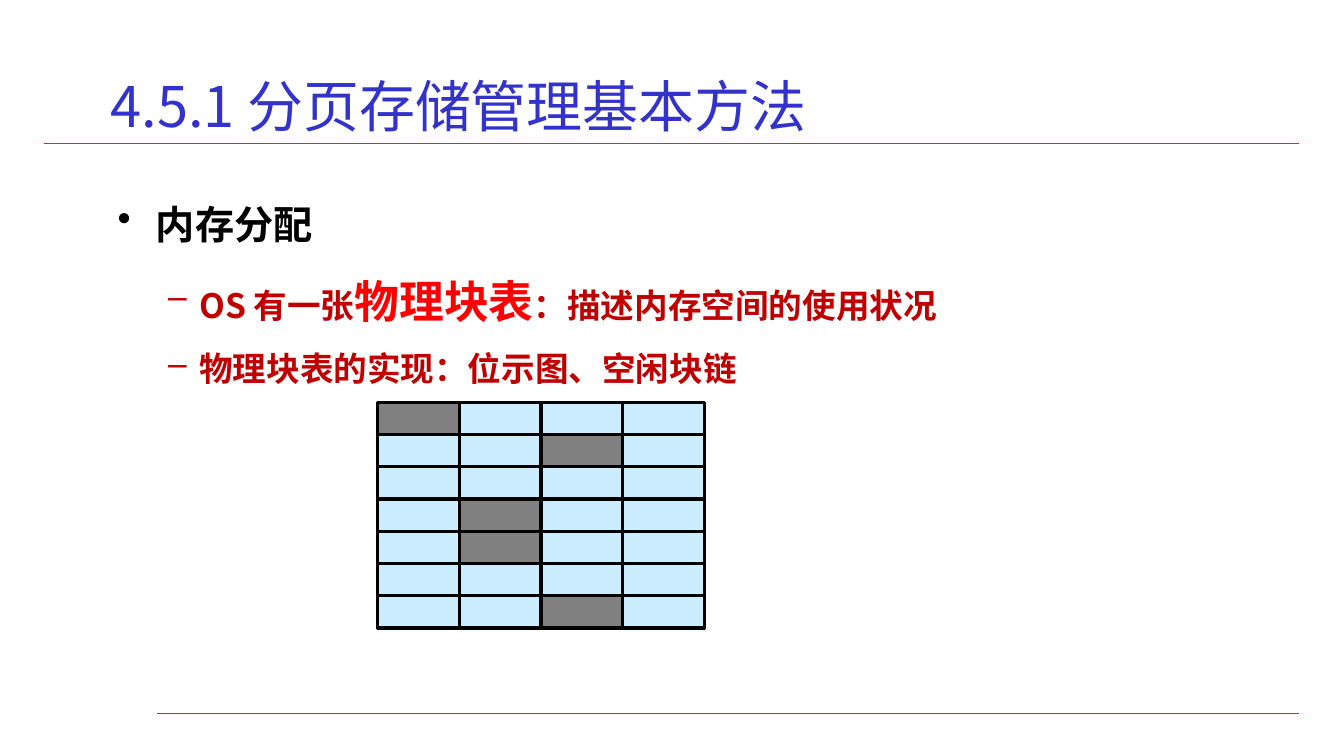
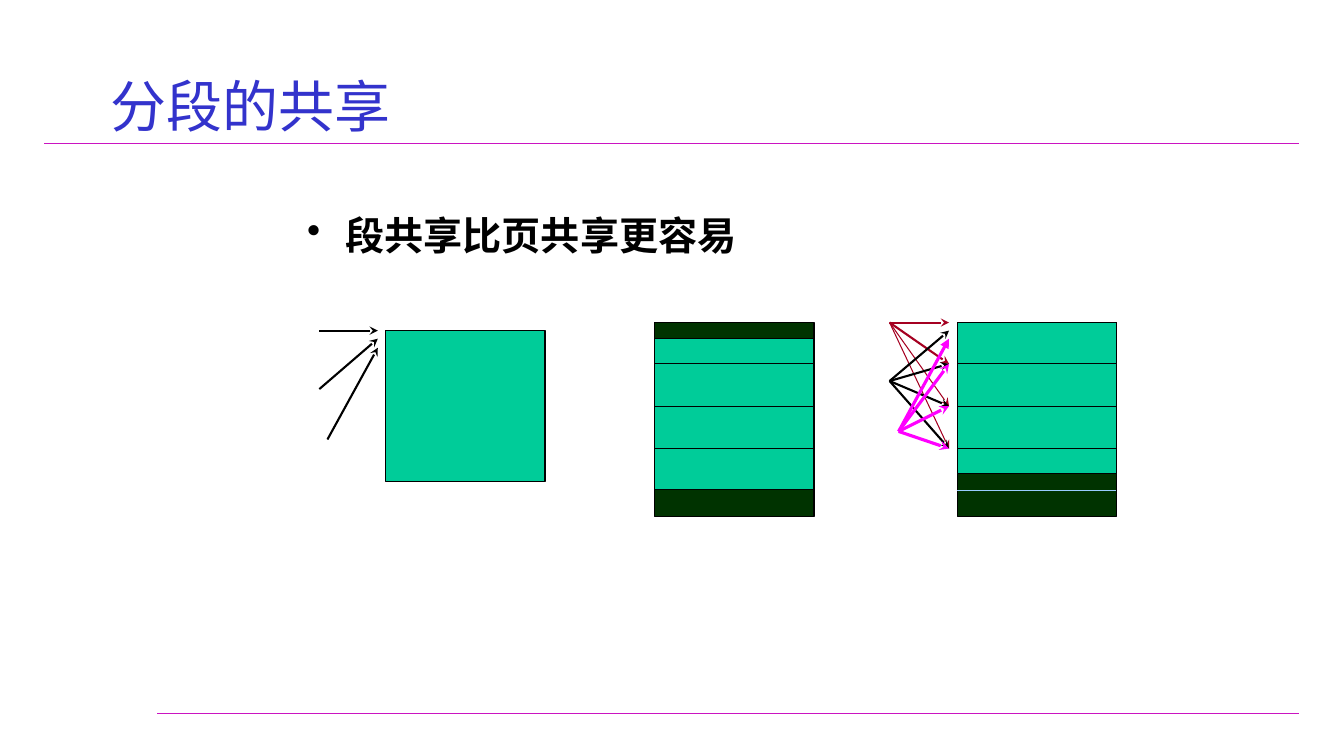
from dataclasses import dataclass
from itertools import product

from lxml import etree
from pptx import Presentation
from pptx.dml.color import RGBColor
from pptx.enum import shapes, text
from pptx.oxml.ns import qn
from pptx.util import Inches, Pt


@dataclass(frozen=True)
class Theme:
    font: str = "Noto Sans CJK SC"
    title: str = "3333CC"
    rule: str = "CA14C1"
    ink: str = "000000"
    red: str = "C00000"
    alert: str = "FF0000"
    used: str = "808080"
    free: str = "CCECFF"
    green: str = "00CC99"
    dark: str = "003300"
    pale: str = "99CCFF"
    wine: str = "A50021"
    pink: str = "FF00FF"
    head: int = 40
    big: int = 32
    main: int = 28
    sub: int = 24
    thin: float = 0.75
    mid: float = 1.5
    thick: float = 2.25


T = Theme()


@dataclass(frozen=True)
class Run:
    text: str
    size: int
    color: str
    bold: bool = True


@dataclass(frozen=True)
class Para:
    runs: tuple[Run, ...]
    mark: str = ""
    level: int = 0
    left: float = 0
    hang: float = 0
    space: float = 1.5


@dataclass(frozen=True)
class Box:
    x: float
    y: float
    w: float
    h: float

    def emu(self) -> tuple:
        return tuple(Inches(n) for n in (self.x, self.y, self.w, self.h))


@dataclass(frozen=True)
class Ray:
    """An arrow that fans out from a shared start."""
    y: float
    width: float
    tip: str = "stealth"


@dataclass(frozen=True)
class Fan:
    x: float
    y: float
    end: float
    color: str
    rays: tuple[Ray, ...]


def rgb(code: str) -> RGBColor:
    return RGBColor.from_string(code)


def bullet(para, item: Para) -> None:
    props = para._p.get_or_add_pPr()
    props.set("marL", str(Inches(item.left)))
    props.set("indent", str(-Inches(item.hang)))
    tint = etree.SubElement(props, qn("a:buClr"))
    etree.SubElement(tint, qn("a:srgbClr"), val=item.runs[0].color)
    etree.SubElement(props, qn("a:buChar"), char=item.mark)


def write(slide, box: Box, items: list[Para], anchor=text.MSO_ANCHOR.TOP) -> None:
    frame = slide.shapes.add_textbox(*box.emu()).text_frame
    frame.word_wrap = True
    frame.vertical_anchor = anchor
    for i, item in enumerate(items):
        para = frame.add_paragraph() if i else frame.paragraphs[0]
        para.level = item.level
        para.line_spacing = item.space
        if item.mark:
            bullet(para, item)
        for part in item.runs:
            run = para.add_run()
            run.text = part.text
            run.font.name = T.font
            run.font.size = Pt(part.size)
            run.font.bold = part.bold
            run.font.color.rgb = rgb(part.color)
            etree.SubElement(run.font._element, qn("a:ea"), typeface=T.font)


def rect(slide, box: Box, fill: str, width: float = T.thin) -> None:
    shape = slide.shapes.add_shape(shapes.MSO_SHAPE.RECTANGLE, *box.emu())
    shape.shadow.inherit = False
    shape.fill.solid()
    shape.fill.fore_color.rgb = rgb(fill)
    shape.line.color.rgb = rgb(T.ink)
    shape.line.width = Pt(width)


def line(slide, x: float, y: float, x2: float, y2: float, color: str,
         width: float = T.thin, tip: str = "") -> None:
    ends = (Inches(n) for n in (x, y, x2, y2))
    wire = slide.shapes.add_connector(shapes.MSO_CONNECTOR.STRAIGHT, *ends)
    wire.line.color.rgb = rgb(color)
    wire.line.width = Pt(width)
    if tip:
        etree.SubElement(wire.line._get_or_add_ln(), qn("a:tailEnd"), type=tip)
    etree.SubElement(wire._element.spPr, qn("a:effectLst"))


def start(deck, title: str):
    """Add a slide with the shared rules and title."""
    slide = deck.slides.add_slide(deck.slide_layouts[6])
    for x, y in ((1.56, 7.08), (0.44, 1.42)):
        line(slide, x, y, 12.89, y, T.rule)
    head = Para((Run(title, T.head, T.title, False),))
    write(slide, Box(1, 0.44, 11.33, 0.87), [head], text.MSO_ANCHOR.MIDDLE)
    return slide


def point(words: str, space: float = 1.5) -> Para:
    return Para((Run(words, T.main, T.ink),), "•", 0, 0.38, 0.38, space)


def detail(*runs: Run) -> Para:
    return Para(runs, "–", 1, 0.81, 0.31)


def paging(deck) -> None:
    slide = start(deck, "4.5.1 分页存储管理基本方法")
    write(slide, Box(1.07, 1.7, 11.5, 4.96), [
        point("内存分配"),
        detail(Run("OS 有一张", T.sub, T.red),
               Run("物理块表", T.big, T.alert),
               Run("：描述内存空间的使用状况", T.sub, T.red)),
        detail(Run("物理块表的实现：位示图、空闲块链", T.sub, T.red)),
    ])
    used = {(0, 0), (1, 2), (3, 1), (4, 1), (6, 2)}
    wide, high = 0.81, 0.32
    for row, col in product(range(7), range(4)):
        cell = Box(3.75 + col * wide, 3.99 + row * high, wide, high)
        rect(slide, cell, T.used if (row, col) in used else T.free, T.thick)


def memory(slide, x: float, top: float, colors: list[str]) -> None:
    """Draw a page frame column with a segment lying at the given top."""
    wide = 1.58
    rect(slide, Box(x, 3.2, wide, 1.92), T.dark)
    rect(slide, Box(x, top, wide, 1.5), T.green)
    for i, color in enumerate(colors):
        y = 3.61 + i * 0.42
        line(slide, x, y, x + wide, y, color)


def sharing(deck) -> None:
    slide = start(deck, "分段的共享")
    write(slide, Box(2.95, 1.86, 8.47, 0.8), [point("段共享比页共享更容易", 1.4)])
    memory(slide, 6.5, 3.36, [T.ink] * 3)
    memory(slide, 9.5, 3.2, [T.ink] * 3 + [T.pale])
    rect(slide, Box(3.83, 3.28, 1.58, 1.5), T.green)
    pages = (3.61, 4.03, 4.45)
    fans = [
        Fan(3.17, 3.28, 3.75, T.ink, (Ray(3.28, T.mid),)),
        Fan(3.17, 3.86, 3.75, T.ink, (Ray(3.36, T.mid),)),
        Fan(3.25, 4.36, 3.75, T.ink, (Ray(3.45, T.mid),)),
        Fan(8.83, 3.2, 9.42, T.wine,
            (Ray(3.2, T.mid), Ray(pages[0], T.mid),
             *(Ray(y, T.thin) for y in pages[1:]))),
        Fan(8.83, 3.78, 9.42, T.ink,
            tuple(Ray(y, T.mid) for y in (3.28, *pages))),
        Fan(8.92, 4.28, 9.42, T.pink,
            (Ray(3.36, T.thick, "triangle"),
             *(Ray(y, T.thick) for y in pages))),
    ]
    for fan in fans:
        for ray in fan.rays:
            line(slide, fan.x, fan.y, fan.end, ray.y, fan.color,
                 ray.width, ray.tip)


def main() -> None:
    deck = Presentation()
    deck.slide_width = Inches(13.34)
    deck.slide_height = Inches(7.5)
    paging(deck)
    sharing(deck)
    deck.save("out.pptx")


if __name__ == "__main__":
    main()
